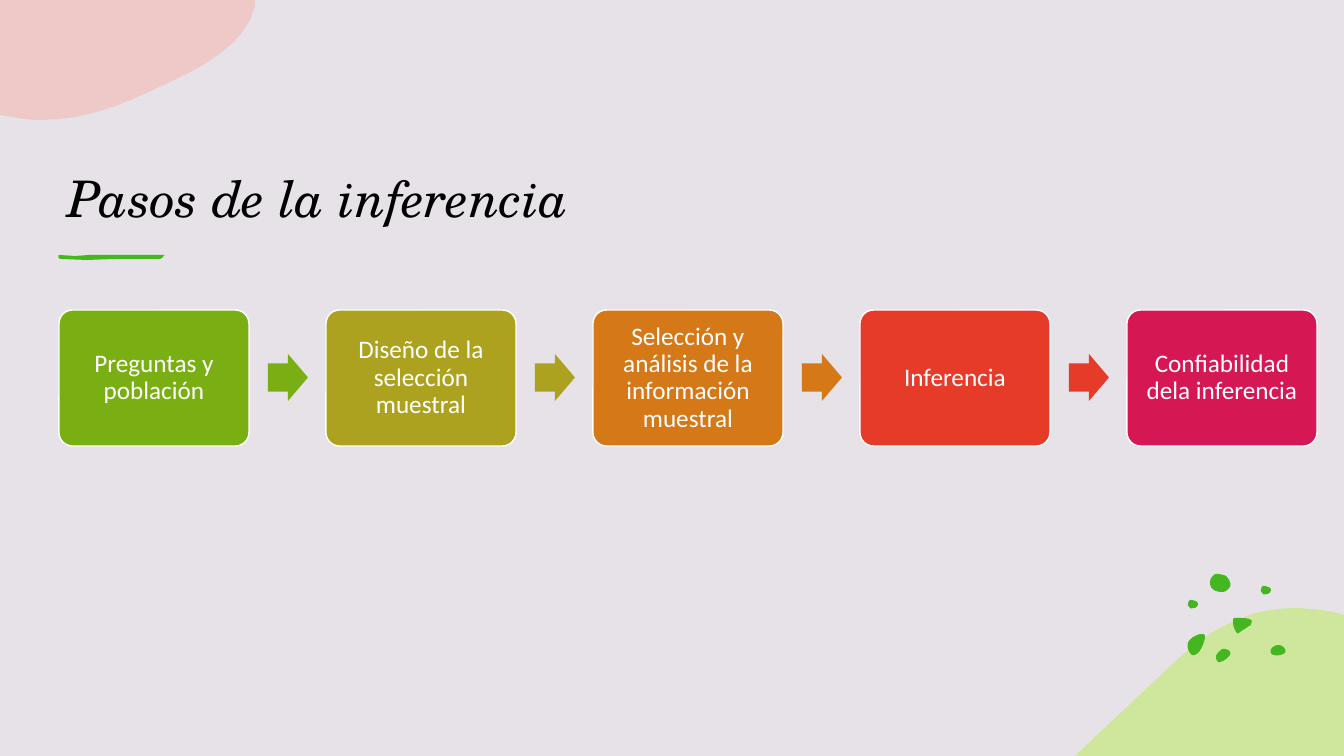
from dataclasses import dataclass

from lxml import etree
from pptx import Presentation
from pptx.dml.color import RGBColor
from pptx.enum.shapes import MSO_SHAPE
from pptx.enum.text import MSO_ANCHOR, MSO_AUTO_SIZE, PP_ALIGN
from pptx.oxml.ns import qn
from pptx.util import Pt

ROUNDED = MSO_SHAPE.ROUNDED_RECTANGLE
RIGHT_ARROW = MSO_SHAPE.RIGHT_ARROW
LEFT, CENTER = PP_ALIGN.LEFT, PP_ALIGN.CENTER
MIDDLE, BOTTOM = MSO_ANCHOR.MIDDLE, MSO_ANCHOR.BOTTOM
NO_AUTOFIT = MSO_AUTO_SIZE.NONE

SCALE = 914400 / 100.8
TITLE_ONLY = 5
CURVE_STEPS = 8


@dataclass(frozen=True)
class Theme:
    background: str = "E7E2E8"
    pink: str = "F5B1A9"
    lime: str = "B8EC54"
    green: str = "44B720"
    black: str = "000000"
    white: str = "FFFFFF"
    title_font: str = "TeX Gyre Schola"
    body_font: str = "Calibri"
    title_size: int = 36
    body_size: int = 18


THEME = Theme()

STEPS = [
    ("Preguntas y población", "79AF13"),
    ("Diseño de la selección muestral", "ACA21F"),
    ("Selección y análisis de la información muestral", "D57817"),
    ("Inferencia", "E73B29"),
    ("Confiabilidad dela inferencia", "D51754"),
]
STEP_LEFT, STEP_TOP, STEP_WIDTH, STEP_HEIGHT = 59, 310, 190, 136
STEP_PITCH = 267
ARROW_OFFSET, ARROW_WIDTH, ARROW_HEIGHT = 209, 40, 47

# Outlines: two numbers are a straight corner, six are a cubic curve.
PINK_CORNER = [
    (0, 0), (255, 0), (255, 6), (247, 44, 202, 68, 159, 87),
    (124, 104, 87, 120, 41, 120), (31, 120, 22, 119, 13, 117), (0, 115),
]
LIME_HILL = [
    (1298, 608), (1311, 609, 1325, 610, 1338, 613), (1344, 615), (1344, 756),
    (1075, 756), (1111, 722, 1146, 689, 1178, 659),
    (1201, 637, 1224, 624, 1247, 616), (1264, 610, 1281, 608, 1298, 608),
]
TITLE_STROKE = [
    (59, 255), (75, 256), (89, 255), (112, 255), (165, 255),
    (162, 256, 164, 259, 158, 259), (116, 259), (87, 260), (61, 259),
    (58, 259, 58, 256, 59, 255),
]
SMALL_DOT = [
    (1261, 591), (1261, 591, 1261, 587, 1263, 586),
    (1265, 586, 1266, 586, 1268, 587), (1269, 587, 1271, 588, 1271, 590),
    (1271, 591, 1270, 593, 1269, 593), (1269, 593, 1269, 594, 1267, 594),
    (1266, 594, 1264, 595, 1263, 594), (1262, 592, 1261, 592, 1261, 591),
]
SMALL_DOT_SHIFTS = [(0, 0), (-73, 14)]
LARGE_DOTS = [
    [(1223, 649), (1225, 649, 1226, 649, 1228, 650),
     (1230, 651, 1231, 653, 1230, 655), (1228, 658, 1222, 663, 1218, 662),
     (1217, 661, 1216, 659, 1216, 657), (1216, 655, 1218, 652, 1220, 651),
     (1221, 650, 1222, 649, 1223, 649)],
    [(1201, 634), (1203, 634, 1205, 634, 1205, 636), (1205, 638),
     (1204, 643, 1202, 648, 1199, 652), (1197, 654, 1193, 657, 1191, 654),
     (1188, 651, 1187, 646, 1188, 643), (1189, 640, 1191, 639, 1193, 637),
     (1194, 637, 1198, 634, 1201, 634)],
    [(1279, 645), (1281, 645, 1284, 647, 1285, 649),
     (1286, 651, 1286, 653, 1283, 654), (1280, 656, 1272, 656, 1271, 653),
     (1270, 651, 1271, 649, 1272, 648), (1274, 646, 1276, 645, 1279, 645)],
    [(1211, 586), (1210, 586, 1209, 580, 1212, 577),
     (1214, 575, 1214, 574, 1217, 574), (1220, 574, 1224, 575, 1226, 576),
     (1228, 578, 1232, 583, 1230, 587), (1227, 590, 1226, 592, 1222, 592),
     (1219, 592, 1214, 591, 1213, 589), (1211, 588, 1211, 587, 1211, 586)],
    [(1238, 618), (1244, 618, 1255, 618, 1251, 624),
     (1251, 625, 1250, 626, 1249, 626), (1246, 628, 1243, 630, 1240, 632),
     (1239, 633, 1238, 634, 1237, 633), (1236, 632),
     (1234, 628, 1233, 625, 1233, 621), (1233, 620, 1233, 619, 1234, 618)],
]


def px(length):
    return round(length * SCALE)


def rgb(color):
    return RGBColor.from_string(color)


def flatten(outline):
    """Turn corners and cubic curves into a list of points in EMU."""
    points = []
    for segment in outline:
        if len(segment) == 2:
            points.append(segment)
            continue
        start = points[-1]
        first, second, end = segment[:2], segment[2:4], segment[4:]
        for step in range(1, CURVE_STEPS + 1):
            t = step / CURVE_STEPS
            u = 1 - t
            points.append(tuple(
                u**3 * a + 3 * u * u * t * b + 3 * u * t * t * c + t**3 * d
                for a, b, c, d in zip(start, first, second, end)
            ))
    return [(px(x), px(y)) for x, y in points]


def style_shape(shape, fill, line=None, opacity=None):
    shape.shadow.inherit = False
    shape.fill.solid()
    shape.fill.fore_color.rgb = rgb(fill)
    if opacity is not None:
        color = shape.fill._xPr.find(qn("a:solidFill"))[0]
        etree.SubElement(color, qn("a:alpha"), val=str(opacity * 1000))
    if line:
        shape.line.color.rgb = rgb(line)
        shape.line.width = Pt(1)
    else:
        shape.line.fill.background()


def add_outline(slide, outline, fill, opacity=None, shift=(0, 0)):
    points = flatten(outline)
    builder = slide.shapes.build_freeform(*points[0], scale=1.0)
    builder.add_line_segments(points[1:], close=True)
    shape = builder.convert_to_shape()
    shape.left += px(shift[0])
    shape.top += px(shift[1])
    style_shape(shape, fill, opacity=opacity)


def add_preset(slide, preset, left, top, width, height, adjustments, fill, line=None):
    shape = slide.shapes.add_shape(preset, px(left), px(top), px(width), px(height))
    for index, value in enumerate(adjustments):
        shape.adjustments[index] = value
    style_shape(shape, fill, line)
    return shape


def write_text(shape, text, *, font, size, color, align, anchor,
               italic=False, line_spacing=1.0, inset=None):
    frame = shape.text_frame
    frame.word_wrap = True
    frame.auto_size = NO_AUTOFIT
    frame.vertical_anchor = anchor
    if inset is not None:
        frame.margin_left = frame.margin_right = px(inset)
        frame.margin_top = frame.margin_bottom = px(inset)
    paragraph = frame.paragraphs[0]
    paragraph.alignment = align
    paragraph.line_spacing = line_spacing
    run = paragraph.add_run()
    run.text = text
    run.font.name = font
    run.font.size = Pt(size)
    run.font.italic = italic
    run.font.color.rgb = rgb(color)


def add_title(slide, text):
    title = slide.shapes.title
    title.left, title.top, title.width, title.height = map(px, (57, 87, 1111, 146))
    write_text(title, text, font=THEME.title_font, size=THEME.title_size,
               color=THEME.black, align=LEFT, anchor=BOTTOM, italic=True)


def add_decoration(slide):
    add_outline(slide, LIME_HILL, THEME.lime, opacity=50)
    for dot in LARGE_DOTS:
        add_outline(slide, dot, THEME.green)
    for shift in SMALL_DOT_SHIFTS:
        add_outline(slide, SMALL_DOT, THEME.green, shift=shift)
    add_outline(slide, PINK_CORNER, THEME.pink, opacity=50)
    add_outline(slide, TITLE_STROKE, THEME.green)


def add_process(slide):
    arrow_top = STEP_TOP + (STEP_HEIGHT - ARROW_HEIGHT) // 2
    for index, (label, color) in enumerate(STEPS):
        left = STEP_LEFT + index * STEP_PITCH
        step = add_preset(slide, ROUNDED, left, STEP_TOP, STEP_WIDTH, STEP_HEIGHT,
                          [0.1], color, THEME.white)
        write_text(step, label, font=THEME.body_font, size=THEME.body_size,
                   color=THEME.white, align=CENTER, anchor=MIDDLE,
                   line_spacing=0.9, inset=7)
        if index < len(STEPS) - 1:
            add_preset(slide, RIGHT_ARROW, left + ARROW_OFFSET, arrow_top,
                       ARROW_WIDTH, ARROW_HEIGHT, [0.6, 0.5], color)


def main():
    presentation = Presentation()
    presentation.slide_width, presentation.slide_height = px(1344), px(756)
    slide = presentation.slides.add_slide(presentation.slide_layouts[TITLE_ONLY])
    slide.background.fill.solid()
    slide.background.fill.fore_color.rgb = rgb(THEME.background)
    add_decoration(slide)
    add_title(slide, "Pasos de la inferencia")
    add_process(slide)
    presentation.save("out.pptx")


if __name__ == "__main__":
    main()
